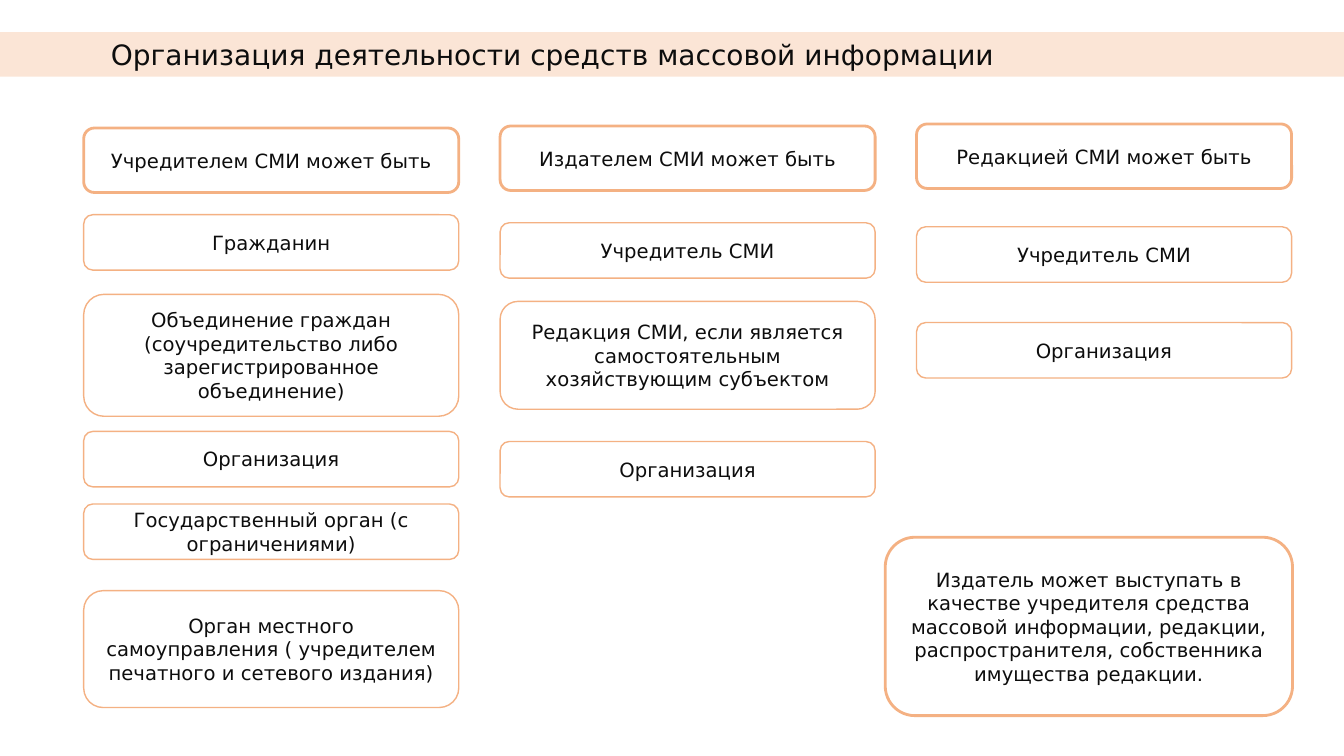
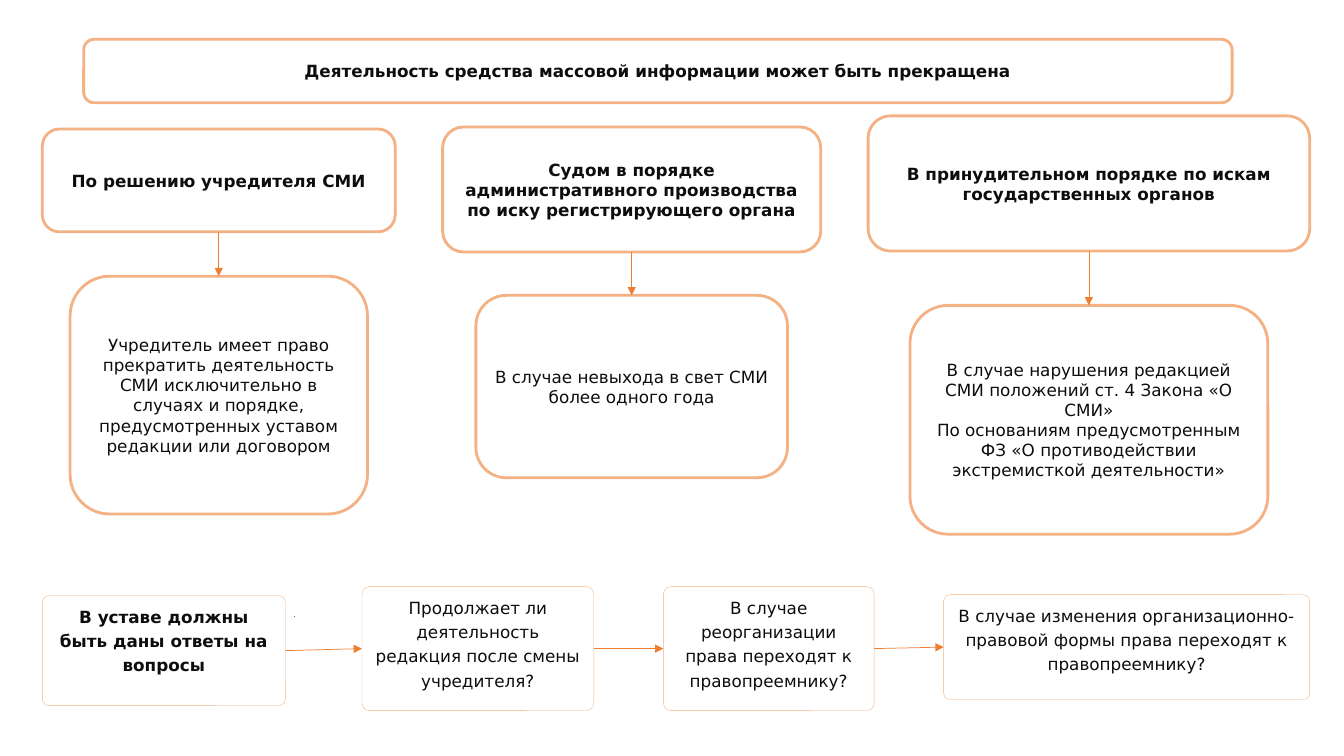
from itertools import pairwise

from lxml import etree
from pptx import Presentation
from pptx.dml.color import RGBColor
from pptx.enum.shapes import MSO_CONNECTOR, MSO_SHAPE
from pptx.enum.text import MSO_ANCHOR, PP_ALIGN
from pptx.oxml.ns import qn
from pptx.util import Inches, Pt

WIDTH, HEIGHT = 13.33, 7.5
FONT = "DejaVu Sans"
INK, PAPER, BAND = "0D0D0D", "FFFFFF", "FBE5D6"
BORDER, ARROW, MARK = "F4B183", "ED7D31", "4472C4"
TOP, LEFT, BOTTOM, RIGHT = range(4)  # connection sites of a box


def rgb(value):
    return RGBColor.from_string(value)


def add_text(sp, text, size, bold=False, align=PP_ALIGN.CENTER,
             anchor=MSO_ANCHOR.MIDDLE, spacing=None):
    tf = sp.text_frame
    tf.word_wrap = True
    tf.vertical_anchor = anchor
    for i, line in enumerate(text.split("\n")):
        p = tf.paragraphs[0] if i == 0 else tf.add_paragraph()
        p.alignment = align
        p.line_spacing = spacing
        r = p.add_run()
        r.text = line
        for name, value in {"name": FONT, "size": Pt(size), "bold": bold}.items():
            setattr(r.font, name, value)
        r.font.color.rgb = rgb(INK)


def add_shape(slide, kind, box, fill):
    sp = slide.shapes.add_shape(kind, *map(Inches, box))
    sp.shadow.inherit = False
    sp.fill.solid()
    sp.fill.fore_color.rgb = rgb(fill)
    return sp


def add_box(slide, box, text, size=14, line=1, radius=None, **style):
    sp = add_shape(slide, MSO_SHAPE.ROUNDED_RECTANGLE, box, PAPER)
    if radius is not None:
        sp.adjustments[0] = radius
    sp.line.color.rgb = rgb(BORDER)
    sp.line.width = Pt(line)
    add_text(sp, text, size, **style)
    return sp


def add_line(slide, start, end, color):
    ends = map(Inches, (*start, *end))
    cx = slide.shapes.add_connector(MSO_CONNECTOR.STRAIGHT, *ends)
    cx.line.color.rgb = rgb(color)
    cx.line.width = Pt(0.5)
    etree.SubElement(cx._element.spPr, qn("a:effectLst"))
    return cx


def link(slide, source, source_site, target, target_site):
    """Draw an arrow between two boxes."""
    cx = add_line(slide, (0, 0), (0, 0), ARROW)
    cx.begin_connect(source, source_site)
    cx.end_connect(target, target_site)
    ln = cx.line._get_or_add_ln()
    etree.SubElement(ln, qn("a:tailEnd"), type="triangle")


def add_title_band(slide, text):
    band = add_shape(slide, MSO_SHAPE.RECTANGLE, (0, 0.32, WIDTH, 0.44), BAND)
    band.line.fill.background()
    band.text_frame.margin_left = Inches(1.1)
    add_text(band, text, 20, align=PP_ALIGN.LEFT)


def add_column(slide, left, top, width, heading, items):
    """Stack a heading and its items, each given as (gap above, height, text)."""
    head_height = 0.64
    add_box(slide, (left, top, width, head_height), heading, line=2)
    y = top + head_height
    for gap, height, text in items:
        y += gap
        add_box(slide, (left, y, width, height), text)
        y += height


def add_branch(slide, box, cause, gap, size, detail):
    """Place a cause in the box and its detail centred below it."""
    left, top, width, height = box
    head = add_box(slide, box, cause, 12, 2, bold=True)
    w, h = size
    below = (left + (width - w) / 2, top + height + gap, w, h)
    link(slide, head, BOTTOM, add_box(slide, below, detail, 12, 2), TOP)


def add_chain(slide, top, steps):
    """Link boxes from left to right; the first one is bold."""
    boxes = [
        add_box(slide, (left, top + drop, width, height), text, 12, 0.25, 0.06,
                bold=i == 0, anchor=MSO_ANCHOR.TOP, spacing=1.2)
        for i, (left, drop, width, height, text) in enumerate(steps)
    ]
    for source, target in pairwise(boxes):
        link(slide, source, RIGHT, target, LEFT)


def build_organisation(slide):
    add_title_band(slide, "Организация деятельности средств массовой информации")
    row = 0.55
    columns = [
        (1.27, "Учредителем СМИ может быть", [
            (0.22, row, "Гражданин"),
            (0.24, 1.21, "Объединение граждан (соучредительство либо "
                         "зарегистрированное объединение)"),
            (0.15, row, "Организация"),
            (0.17, row, "Государственный орган (с ограничениями)"),
            (0.31, 1.16, "Орган местного самоуправления ( учредителем "
                         "печатного и сетевого издания)"),
        ]),
        (1.25, "Издателем СМИ может быть", [
            (0.32, row, "Учредитель СМИ"),
            (0.23, 1.07, "Редакция СМИ, если является самостоятельным "
                         "хозяйствующим субъектом"),
            (0.32, row, "Организация"),
        ]),
        (1.23, "Редакцией СМИ может быть", [
            (0.38, row, "Учредитель СМИ"),
            (0.4, row, "Организация"),
        ]),
    ]
    left, width, gutter = 0.83, 3.72, 0.41
    for i, (top, heading, items) in enumerate(columns):
        add_column(slide, left + i * (width + gutter), top, width, heading, items)
    add_box(slide, (8.78, 5.33, 4.04, 1.77),
            "Издатель может выступать в качестве учредителя средства массовой "
            "информации, редакции, распространителя, собственника имущества "
            "редакции.", line=2)


def build_termination(slide):
    add_box(slide, (0.83, 0.39, 11.39, 0.63),
            "Деятельность средства массовой информации может быть прекращена",
            12, 2, bold=True)
    branches = [
        ((0.42, 1.28, 3.5, 1.02), "По решению учредителя СМИ",
         0.44, (2.95, 2.36),
         "Учредитель имеет право прекратить деятельность СМИ исключительно в "
         "случаях и порядке, предусмотренных уставом редакции или договором"),
        ((4.39, 1.26, 3.75, 1.24),
         "Судом в порядке административного производства по иску "
         "регистрирующего органа",
         0.43, (3.09, 1.81),
         "В случае невыхода в свет СМИ более одного года"),
        ((8.61, 1.15, 4.38, 1.34),
         "В принудительном порядке по искам государственных органов",
         0.54, (3.55, 2.27),
         "В случае нарушения редакцией СМИ положений ст. 4 Закона «О СМИ»\n"
         "По основаниям предусмотренным ФЗ «О противодействии экстремисткой "
         "деятельности»"),
    ]
    for branch in branches:
        add_branch(slide, *branch)
    add_chain(slide, 5.82, [
        (0.42, 0.09, 2.41, 1.09, "В уставе должны быть даны ответы на вопросы"),
        (3.59, 0, 2.3, 1.23,
         "Продолжает ли деятельность редакция после смены учредителя?"),
        (6.58, 0, 2.09, 1.23,
         "В случае реорганизации права переходят к правопреемнику?"),
        (9.36, 0.08, 3.63, 1.04,
         "В случае изменения организационно-правовой формы права переходят к "
         "правопреемнику?"),
    ])
    add_line(slide, (2.92, 6.11), (2.92, 6.12), MARK)


def main():
    prs = Presentation()
    prs.slide_width, prs.slide_height = Inches(WIDTH), Inches(HEIGHT)
    for build in (build_organisation, build_termination):
        build(prs.slides.add_slide(prs.slide_layouts[6]))
    prs.save("out.pptx")


if __name__ == "__main__":
    main()
